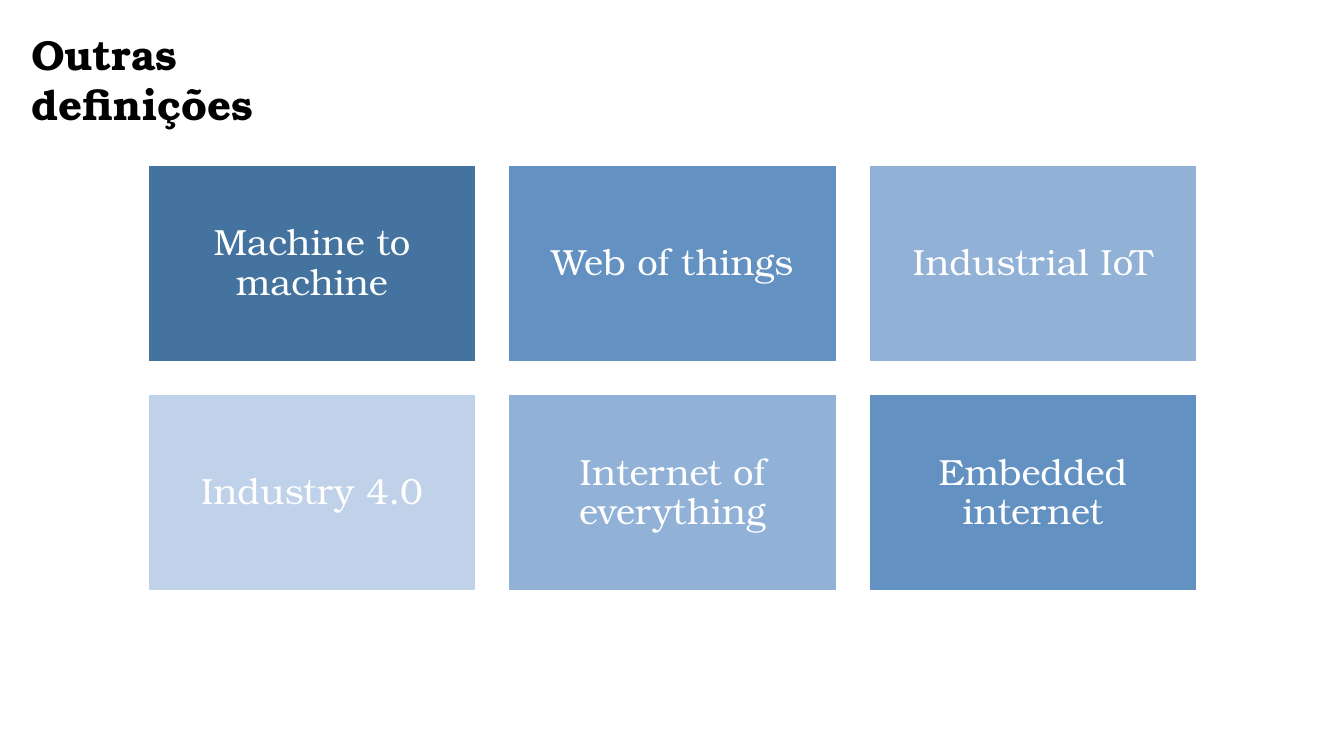
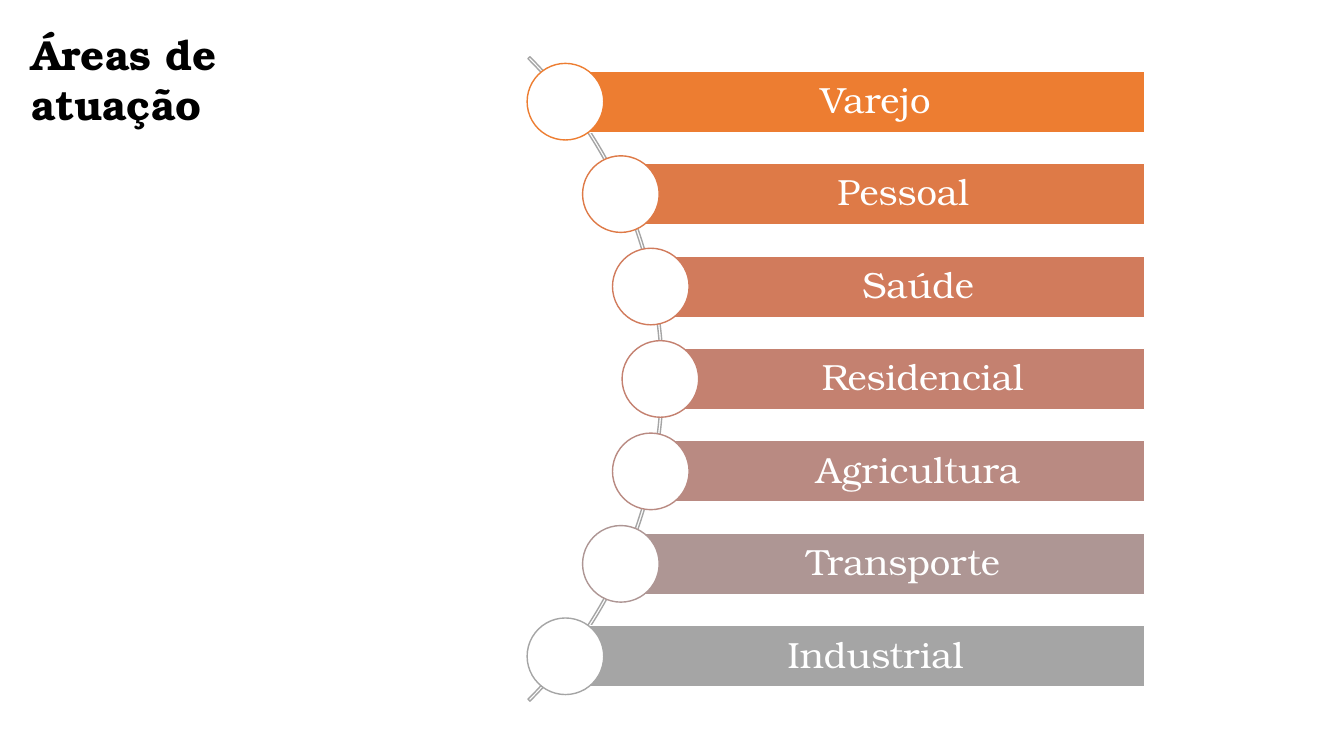
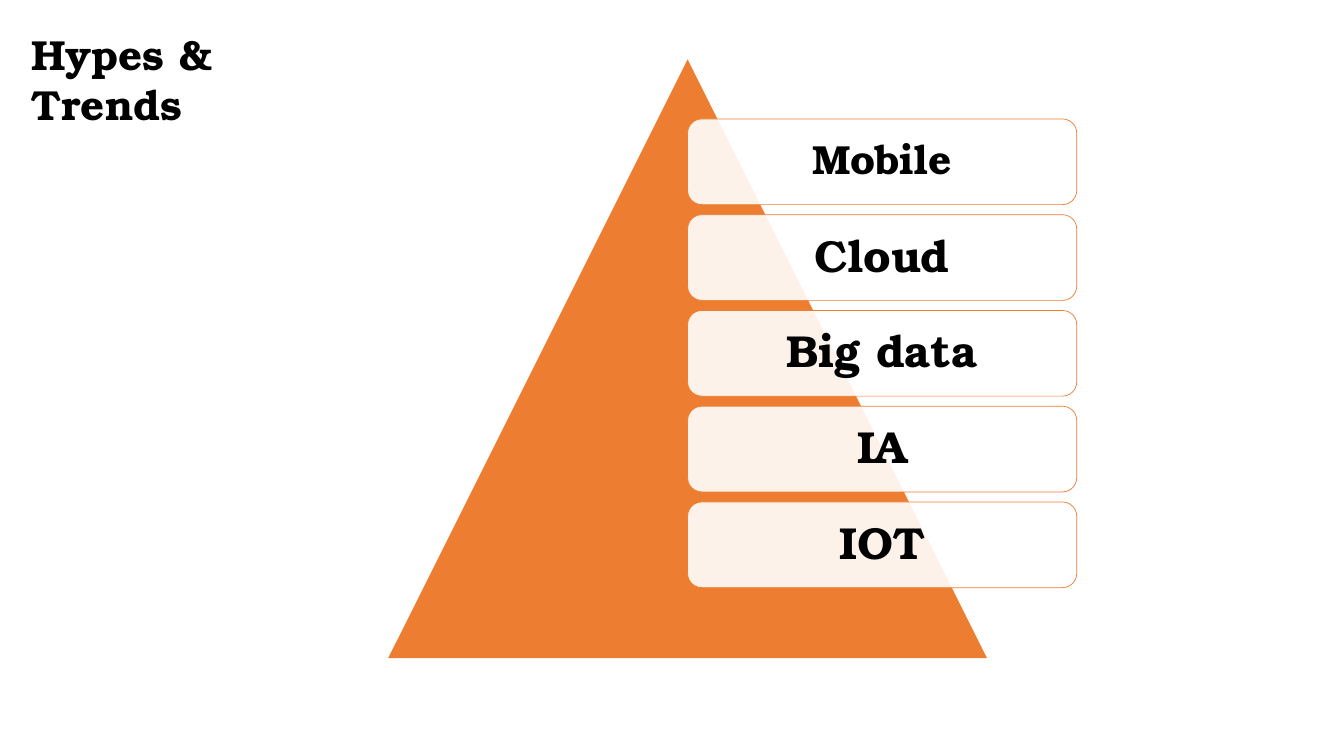
from math import sqrt

from lxml import etree
from pptx import Presentation
from pptx.dml.color import RGBColor
from pptx.enum import shapes, text
from pptx.oxml import ns
from pptx.util import Inches, Pt

FONT = "TeX Gyre Bonum"
WHITE, BLACK, ORANGE, GREY = "FFFFFF", "000000", "ED7D31", "A5A5A5"
KIND = shapes.MSO_SHAPE

DEFINITIONS = [
    ("Machine to machine", "43739E"), ("Web of things", "6391C1"), ("Industrial IoT", "91B1D6"),
    ("Industry 4.0", "C0D2EA"), ("Internet of everything", "91B1D6"), ("Embedded internet", "6391C1"),
]
AREAS = [
    ("Varejo", ORANGE), ("Pessoal", "DE7A47"), ("Saúde", "D17B5C"), ("Residencial", "C48170"),
    ("Agricultura", "B98A82"), ("Transporte", "AE9694"), ("Industrial", GREY),
]
TRENDS = [("Mobile", 29), ("Cloud", 32), ("Big data", 32), ("IA", 32), ("IOT", 32)]


def rgb(code):
    return RGBColor.from_string(code)


def set_font(para, size, color, bold=False):
    font = para.font
    font.name, font.size, font.bold = FONT, Pt(size), bold
    font.color.rgb = rgb(color)


def add_page(deck, title):
    page = deck.slides.add_slide(deck.slide_layouts[5])
    box = page.shapes.title
    box.left, box.top, box.width, box.height = map(Inches, (0.21, 0.23, 3, 1.1))
    frame = box.text_frame
    frame.text = title
    frame.word_wrap = True
    frame.auto_size = text.MSO_AUTO_SIZE.NONE
    frame.vertical_anchor = text.MSO_ANCHOR.TOP
    para = frame.paragraphs[0]
    para.alignment = text.PP_ALIGN.LEFT
    set_font(para, 30, BLACK, bold=True)
    return page


def add_figure(page, kind, left, top, width, height, fill=None, line=None, line_width=1):
    figure = page.shapes.add_shape(kind, *map(Inches, (left, top, width, height)))
    figure.shadow.inherit = False
    if fill:
        figure.fill.solid()
        figure.fill.fore_color.rgb = rgb(fill)
    else:
        figure.fill.background()
    if line:
        figure.line.color.rgb = rgb(line)
        figure.line.width = Pt(line_width)
    else:
        figure.line.fill.background()
    return figure


def write_label(figure, words, size=26, color=WHITE, bold=False, inset=0.07, left_inset=None):
    frame = figure.text_frame
    frame.text = words
    frame.word_wrap = True
    frame.vertical_anchor = text.MSO_ANCHOR.MIDDLE
    frame.margin_top = frame.margin_bottom = frame.margin_right = Inches(inset)
    frame.margin_left = Inches(inset if left_inset is None else left_inset)
    para = frame.paragraphs[0]
    para.alignment = text.PP_ALIGN.CENTER
    para.line_spacing = 0.9
    set_font(para, size, color, bold)


def set_opacity(figure, percent):
    color = figure.fill._xPr.find(ns.qn("a:solidFill"))[0]
    etree.SubElement(color, ns.qn("a:alpha"), val=str(percent * 1000))


def build_definitions(deck):
    page = add_page(deck, "Outras definições")
    width, height, gap = 3.25, 1.95, 0.325
    for index, (words, color) in enumerate(DEFINITIONS):
        row, column = divmod(index, 3)
        tile = add_figure(page, KIND.RECTANGLE, 1.47 + column * (width + gap),
                          1.64 + row * (height + gap), width, height, color, WHITE)
        write_label(tile, words, inset=0.11)


def build_areas(deck):
    page = add_page(deck, "Áreas de atuação")
    center_x, center_y, size = 2.06, 3.76, 9.04
    arc = add_figure(page, KIND.BLOCK_ARC, center_x - size / 2, center_y - size / 2,
                     size, size, line=GREY)
    for index, value in enumerate((189, 27, 0.003)):
        arc.adjustments[index] = value

    pitch, orbit, right = 0.917, 4.49, 11.35
    bar_height, dot_size = 0.61, 0.76
    for index, (words, color) in enumerate(AREAS):
        offset = (index - len(AREAS) // 2) * pitch
        x, y = center_x + sqrt(orbit ** 2 - offset ** 2), center_y + offset
        bar = add_figure(page, KIND.RECTANGLE, x, y - bar_height / 2, right - x, bar_height,
                         color, WHITE)
        write_label(bar, words, left_inset=0.48)
        add_figure(page, KIND.OVAL, x - dot_size / 2, y - dot_size / 2, dot_size, dot_size,
                   WHITE, color)


def build_trends(deck):
    page = add_page(deck, "Hypes & Trends")
    add_figure(page, KIND.ISOSCELES_TRIANGLE, 3.85, 0.59, 5.94, 5.94, ORANGE)
    for index, (words, size) in enumerate(TRENDS):
        card = add_figure(page, KIND.ROUNDED_RECTANGLE, 6.82, 1.18 + index * 0.95, 3.86, 0.85,
                          WHITE, ORANGE, 0.5)
        set_opacity(card, 90)
        write_label(card, words, size, BLACK, bold=True, inset=0.04)


def main():
    deck = Presentation()
    deck.slide_width, deck.slide_height = Inches(13.33), Inches(7.5)
    build_definitions(deck)
    build_areas(deck)
    build_trends(deck)
    deck.save("out.pptx")


if __name__ == "__main__":
    main()
